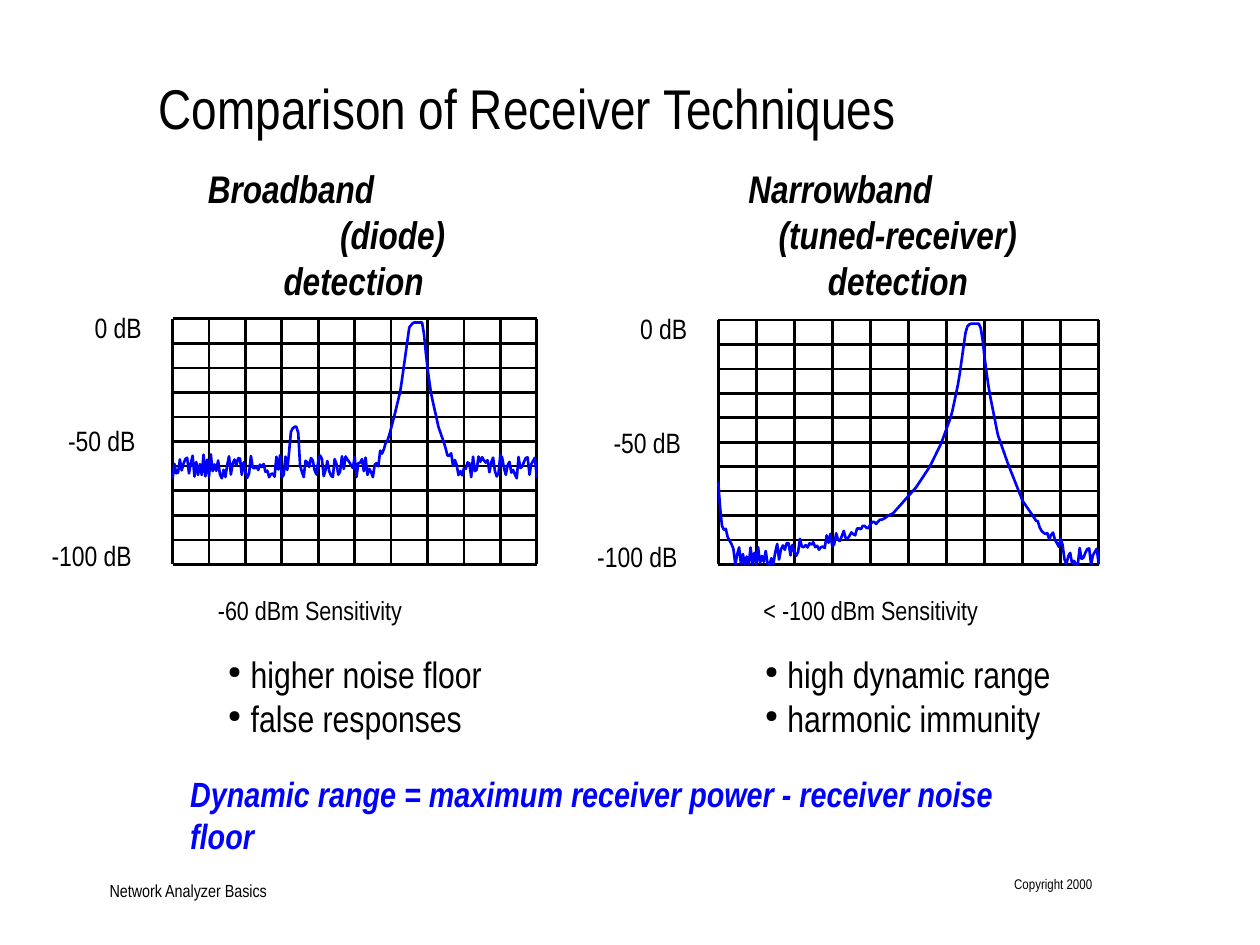
from dataclasses import dataclass
from itertools import pairwise

from lxml import etree
from pptx import Presentation
from pptx.dml.color import RGBColor
from pptx.enum.shapes import MSO_CONNECTOR
from pptx.enum.text import MSO_ANCHOR, PP_ALIGN
from pptx.oxml.ns import qn
from pptx.util import Inches, Pt

BLACK = RGBColor(0x00, 0x00, 0x00)
BLUE = RGBColor(0x00, 0x00, 0xFF)
FONT = "Arial Narrow"
LINE_WIDTH = Pt(1.5)
DIVISIONS = 10
BOTTOM_LEVEL = -100  # dB at the lowest grid line; the highest is 0 dB
TRACE_STEPS = 200
NOISE_PEAK = 5  # dB either side of the noise floor


@dataclass
class Receiver:
    heading: list  # (indent, text) for each line
    response: list  # (grid division, level in dB) at each bend of the noiseless curve
    quiet_level: float  # dB above which the curve shows no noise
    noise_floor: float  # dB at which the noise is strongest
    sensitivity: str
    benefits: list
    bullet_shift: float


DIODE = Receiver(
    heading=[(0.28, "Broadband"), (1.33, "(diode)"), (0.88, "detection")],
    response=[
        (0, -60), (3.15, -60),  # noise floor
        (3.25, -46), (3.32, -44), (3.4, -44), (3.46, -47), (3.5, -60),  # false response
        (5.55, -60), (5.64, -57), (5.92, -49), (6.09, -39.5), (6.26, -29),  # rising skirt
        (6.4, -14), (6.5, -3.5), (6.61, -1.5), (6.85, -1.5), (6.89, -4.5),  # passband
        (6.99, -19), (7.09, -30), (7.3, -44), (7.51, -53), (7.72, -60),  # falling skirt
        (10, -60),
    ],
    quiet_level=-50,
    noise_floor=-60,
    sensitivity="-60 dBm Sensitivity",
    benefits=["higher noise floor", "false responses"],
    bullet_shift=-0.01,
)
TUNED = Receiver(
    heading=[(0.24, "Narrowband"), (0.48, "(tuned-receiver)"), (0.87, "detection")],
    response=[
        (0, -66), (0.08, -83), (0.25, -88), (0.4, -97), (1, -98),  # start of the sweep
        (2, -93), (3, -90), (4, -84), (4.6, -79), (5.2, -68.5), (5.56, -60),  # rising skirt
        (5.86, -50.5), (6.13, -39), (6.32, -25), (6.42, -14),
        (6.52, -3), (6.62, -1.5), (6.85, -1.5), (6.92, -4),  # passband
        (7.02, -18), (7.12, -29), (7.35, -47), (7.62, -59), (8, -74),  # falling skirt
        (8.4, -83), (8.5, -88), (8.9, -89), (9.1, -97), (10, -97),
    ],
    quiet_level=-80,
    noise_floor=-97,
    sensitivity="< -100 dBm Sensitivity",
    benefits=["high dynamic range", "harmonic immunity"],
    bullet_shift=-0.08,
)


def add_text(page, left, top, width, height, lines, size, color=BLACK, emphasis=False,
             anchor=MSO_ANCHOR.TOP, align=PP_ALIGN.LEFT, decorate=None):
    """Add a text box without margins; decorate(para, index) runs before the font is set."""
    box = page.shapes.add_textbox(Inches(left), Inches(top), Inches(width), Inches(height))
    frame = box.text_frame
    frame.word_wrap = True
    frame.vertical_anchor = anchor
    frame.margin_left = frame.margin_right = frame.margin_top = frame.margin_bottom = 0
    for index, line in enumerate(lines):
        para = frame.paragraphs[0] if index == 0 else frame.add_paragraph()
        para.text = line
        para.alignment = align
        if decorate:
            decorate(para, index)
        font = para.font
        font.name, font.size = FONT, Pt(size)
        font.bold = font.italic = emphasis
        font.color.rgb = color


def add_bullet(para, index):
    props = para._p.get_or_add_pPr()
    props.set("marL", str(Inches(0.63)))
    props.set("indent", str(Inches(-0.18)))
    etree.SubElement(props, qn("a:buSzPct"), val="46000")
    etree.SubElement(props, qn("a:buChar"), char="●")


def add_grid_line(page, x1, y1, x2, y2):
    line = page.shapes.add_connector(
        MSO_CONNECTOR.STRAIGHT, Inches(x1), Inches(y1), Inches(x2), Inches(y2))
    line.line.color.rgb = BLACK
    line.line.width = LINE_WIDTH
    etree.SubElement(line._element.spPr, qn("a:effectLst"))


def add_grid(page, left, top, width, height):
    for step in range(DIVISIONS + 1):
        x = left + width * step / DIVISIONS
        y = top + height * step / DIVISIONS
        add_grid_line(page, x, top, x, top + height)
        add_grid_line(page, left, y, left + width, y)


def noise_values(seed=7):
    """Yield repeatable pseudo-random numbers from -1 to 1."""
    modulus = 2 ** 31 - 1
    while True:
        seed = seed * 48271 % modulus
        yield 2 * seed / modulus - 1


def interpolate(bends, position):
    for (start, first), (end, last) in pairwise(bends):
        if position <= end:
            return first + (last - first) * (position - start) / (end - start)
    return bends[-1][1]


def trace_levels(receiver):
    """Return the dB levels of the sweep: the response, with noise growing towards the floor."""
    noise = noise_values()
    levels = []
    for step in range(TRACE_STEPS + 1):
        level = interpolate(receiver.response, DIVISIONS * step / TRACE_STEPS)
        share = (receiver.quiet_level - level) / (receiver.quiet_level - receiver.noise_floor)
        level += NOISE_PEAK * min(max(share, 0), 1) * next(noise)
        levels.append(max(level, BOTTOM_LEVEL))
    return levels


def add_trace(page, left, top, width, height, levels):
    points = [(Inches(left + width * step / TRACE_STEPS),
               Inches(top + height * level / BOTTOM_LEVEL))
              for step, level in enumerate(levels)]
    builder = page.shapes.build_freeform(*points[0])
    builder.add_line_segments(points[1:], close=False)
    trace = builder.convert_to_shape()
    trace.fill.background()
    trace.line.color.rgb = BLUE
    trace.line.width = LINE_WIDTH
    trace.shadow.inherit = False


def add_receiver(page, left, top, width, height, receiver):
    """Place heading, graph and notes of one receiver around its grid box."""
    def indent_heading(para, index):
        para._p.get_or_add_pPr().set("marL", str(Inches(receiver.heading[index][0])))

    add_text(page, left, 1.31, width, 1.11, [text for _, text in receiver.heading],
             22, emphasis=True, decorate=indent_heading)
    add_grid(page, left, top, width, height)
    add_trace(page, left, top, width, height, trace_levels(receiver))
    for label, shift, bottom in (("0 dB", 0.62, 0.2), ("-50 dB", 0.83, 1.1),
                                 ("-100 dB", 0.96, 2.01)):
        add_text(page, left - shift, top + bottom - 0.29, shift, 0.29, [label], 16,
                 anchor=MSO_ANCHOR.BOTTOM)
    add_text(page, left + 0.36, 4.71, 2.6, 0.26, [receiver.sensitivity], 15,
             anchor=MSO_ANCHOR.BOTTOM)
    add_text(page, left + receiver.bullet_shift, 5.17, 3.2, 0.67, receiver.benefits, 21,
             decorate=add_bullet)


def add_footer(page):
    add_text(page, 0.87, 6.97, 2.67, 0.18, ["Network Analyzer Basics"], 10,
             anchor=MSO_ANCHOR.BOTTOM)
    add_text(page, 7.87, 6.95, 0.8, 0.25, ["Copyright 2000"], 8, align=PP_ALIGN.RIGHT)


def main():
    deck = Presentation()
    deck.slide_width, deck.slide_height = Inches(10), Inches(7.5)
    page = deck.slides.add_slide(deck.slide_layouts[6])
    add_text(page, 1.26, 0.58, 8.5, 0.51, ["Comparison of Receiver Techniques"], 32)
    add_receiver(page, 1.37, 2.53, 2.89, 1.95, DIODE)
    add_receiver(page, 5.7, 2.54, 3.02, 1.94, TUNED)
    add_text(page, 1.51, 6.13, 6.76, 0.7,
             ["Dynamic range = maximum receiver power - receiver noise floor"], 20,
             color=BLUE, emphasis=True)
    add_footer(page)
    deck.save("out.pptx")


if __name__ == "__main__":
    main()
